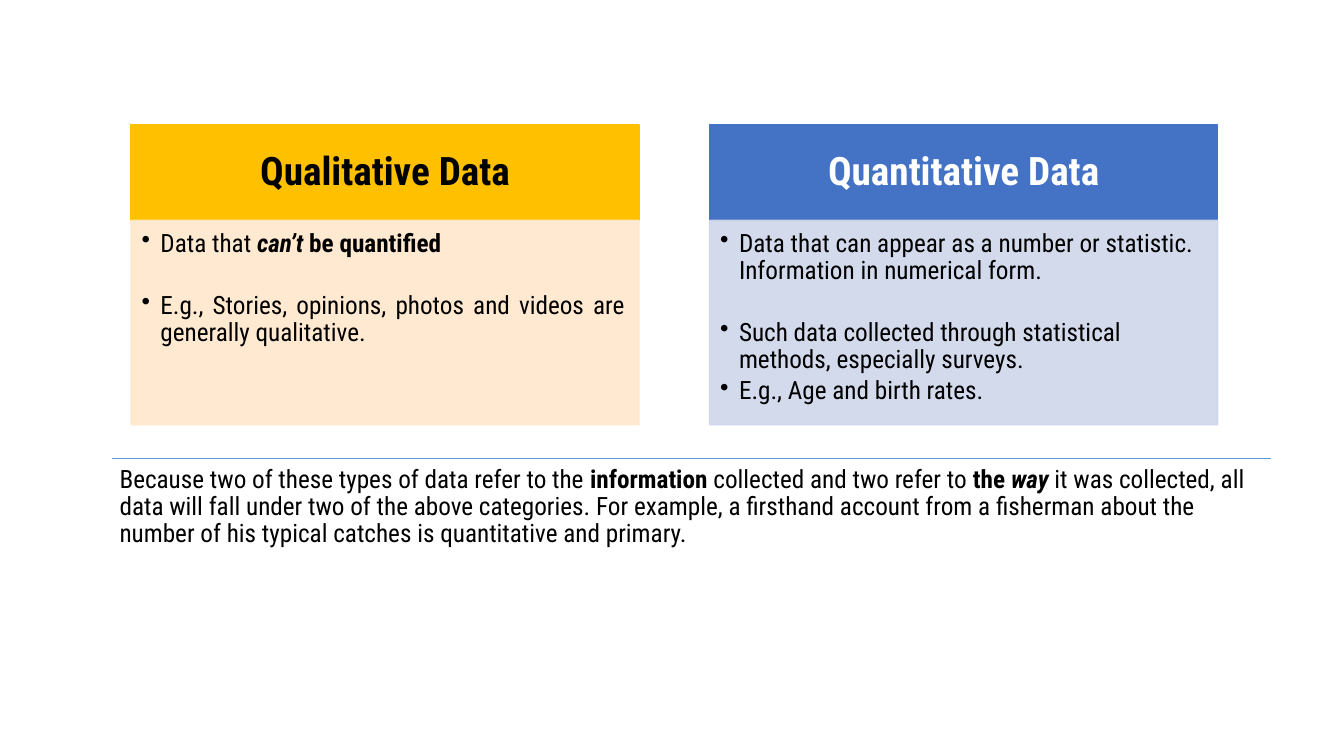
"""Build a slide comparing qualitative and quantitative data."""
from lxml import etree
from pptx import Presentation
from pptx.dml.color import RGBColor
from pptx.enum import shapes, text
from pptx.oxml import ns
from pptx.util import Pt

FONT = "Roboto Condensed"
BLACK = RGBColor(0x00, 0x00, 0x00)
WHITE = RGBColor(0xFF, 0xFF, 0xFF)
GOLD = RGBColor(0xFF, 0xC0, 0x00)
CREAM = RGBColor(0xFF, 0xE8, 0xCC)
BLUE = RGBColor(0x44, 0x72, 0xC4)
PALE_BLUE = RGBColor(0xCF, 0xD6, 0xEA)
RULE_BLUE = RGBColor(0x5B, 0x9B, 0xD5)

LEFT, TOP, WIDTH, PITCH = 93.6, 89.4, 362.9, 413.3
HEAD_HEIGHT, BODY_HEIGHT = 68, 146
RULE_LEFT, RULE_TOP, RULE_WIDTH = 80, 327.6, 828
BULLET_INDENT = 13.5
TIGHT, WIDE = 2.7, 24.6
LEFT_ALIGN, CENTER, JUSTIFY = (
    text.PP_ALIGN.LEFT, text.PP_ALIGN.CENTER, text.PP_ALIGN.JUSTIFY)

CARDS = [
    ("Qualitative Data", BLACK, GOLD, CREAM, JUSTIFY, [
        ([("Data that ", ""), ("can’t", "bi"), (" be quantified", "b")], WIDE),
        ([("E.g., Stories, opinions, photos and videos are generally "
           "qualitative.", "")], TIGHT),
    ]),
    ("Quantitative Data", WHITE, BLUE, PALE_BLUE, LEFT_ALIGN, [
        ([("Data that can appear as a number or statistic. Information in "
           "numerical form.", "")], WIDE),
        ([("Such data collected through statistical methods, especially "
           "surveys.", "")], TIGHT),
        ([("E.g., Age and birth rates.", "")], TIGHT),
    ]),
]
SUMMARY = [
    ("Because two of these types of data refer to the ", ""),
    ("information", "b"),
    (" collected and two refer to ", ""),
    ("the ", "b"),
    ("way ", "bi"),
    ("it was collected, all data will fall under two of the above categories. "
     "For example, a firsthand account from a fisherman about the number of "
     "his typical catches is quantitative and primary.", ""),
]


def set_frame(tf, anchor, *insets):
    """Set wrapping, anchor and the left, top, right and bottom insets."""
    tf.word_wrap = True
    tf.vertical_anchor = anchor
    tf.margin_left, tf.margin_top, tf.margin_right, tf.margin_bottom = map(
        Pt, insets)


def write_paragraph(p, runs, size, color, align, after):
    """Fill a paragraph with runs styled by the letters b and i."""
    p.alignment = align
    p.line_spacing = 0.9
    p.space_after = Pt(after)
    for words, style in runs:
        r = p.add_run()
        r.text = words
        r.font.name = FONT
        r.font.size = Pt(size)
        r.font.color.rgb = color
        r.font.bold = "b" in style
        r.font.italic = "i" in style


def add_bullet(p):
    """Give a paragraph a round bullet with a hanging indent."""
    pPr = p._p.get_or_add_pPr()
    pPr.set("marL", str(Pt(BULLET_INDENT)))
    pPr.set("indent", str(-Pt(BULLET_INDENT)))
    etree.SubElement(pPr, ns.qn("a:buChar"), char="•")


def add_box(slide, left, top, height, color, opacity=100):
    """Add a filled rectangle with a matching outline."""
    sp = slide.shapes.add_shape(shapes.MSO_SHAPE.RECTANGLE, Pt(left), Pt(top),
                                Pt(WIDTH), Pt(height))
    sp.shadow.inherit = False
    sp.fill.solid()
    sp.fill.fore_color.rgb = color
    sp.line.color.rgb = color
    sp.line.width = Pt(1)
    if opacity < 100:
        for clr in list(sp._element.spPr.iter(ns.qn("a:srgbClr"))):
            etree.SubElement(clr, ns.qn("a:alpha"), val=str(opacity * 1000))
    return sp


def add_card(slide, left, title, title_color, head, body, align, bullets):
    """Add a titled card with a bulleted body."""
    tf = add_box(slide, left, TOP, HEAD_HEIGHT, head).text_frame
    set_frame(tf, text.MSO_ANCHOR.MIDDLE, 16, 9, 16, 9)
    write_paragraph(tf.paragraphs[0], [(title, "b")], 28, title_color, CENTER,
                    9.8)

    sp = add_box(slide, left, TOP + HEAD_HEIGHT, BODY_HEIGHT, body, 90)
    tf = sp.text_frame
    set_frame(tf, text.MSO_ANCHOR.TOP, 7.5, 7.5, 10, 11.2)
    for i, (runs, after) in enumerate(bullets):
        p = tf.add_paragraph() if i else tf.paragraphs[0]
        write_paragraph(p, runs, 18, BLACK, align, after)
        add_bullet(p)


def add_rule(slide):
    """Add the horizontal line above the summary."""
    line = slide.shapes.add_connector(
        shapes.MSO_CONNECTOR.STRAIGHT, Pt(RULE_LEFT), Pt(RULE_TOP),
        Pt(RULE_LEFT + RULE_WIDTH), Pt(RULE_TOP))
    line.line.color.rgb = RULE_BLUE
    line.line.width = Pt(1)
    etree.SubElement(line._element.spPr, ns.qn("a:effectLst"))


def add_summary(slide):
    """Add the closing text below the line."""
    sp = slide.shapes.add_textbox(Pt(RULE_LEFT), Pt(RULE_TOP), Pt(RULE_WIDTH),
                                  Pt(121))
    set_frame(sp.text_frame, text.MSO_ANCHOR.TOP, 5.4, 5.4, 5.4, 5.4)
    write_paragraph(sp.text_frame.paragraphs[0], SUMMARY, 18, BLACK,
                    LEFT_ALIGN, 6.3)


def main():
    """Create the presentation and save it."""
    prs = Presentation()
    prs.slide_width, prs.slide_height = Pt(960), Pt(540)
    slide = prs.slides.add_slide(prs.slide_layouts[6])
    for i, card in enumerate(CARDS):
        add_card(slide, LEFT + i * PITCH, *card)
    add_rule(slide)
    add_summary(slide)
    prs.save("out.pptx")


if __name__ == "__main__":
    main()
